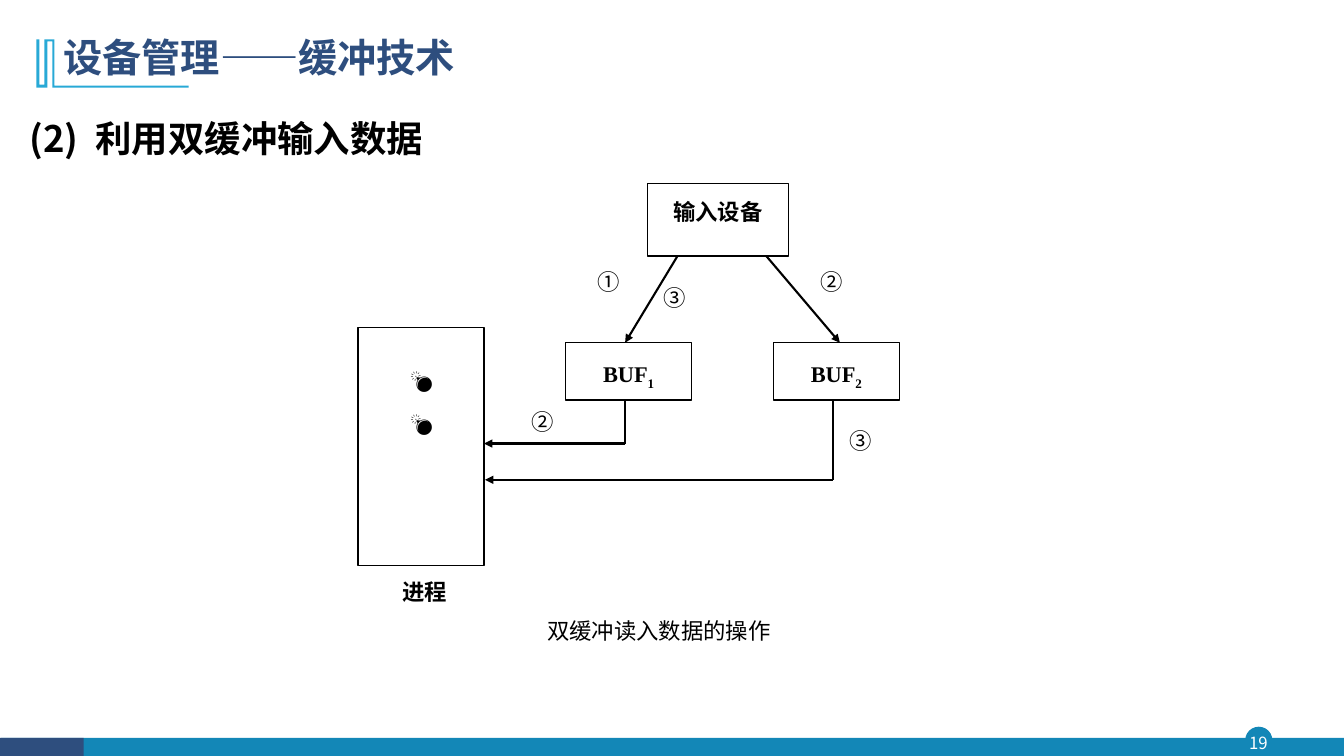
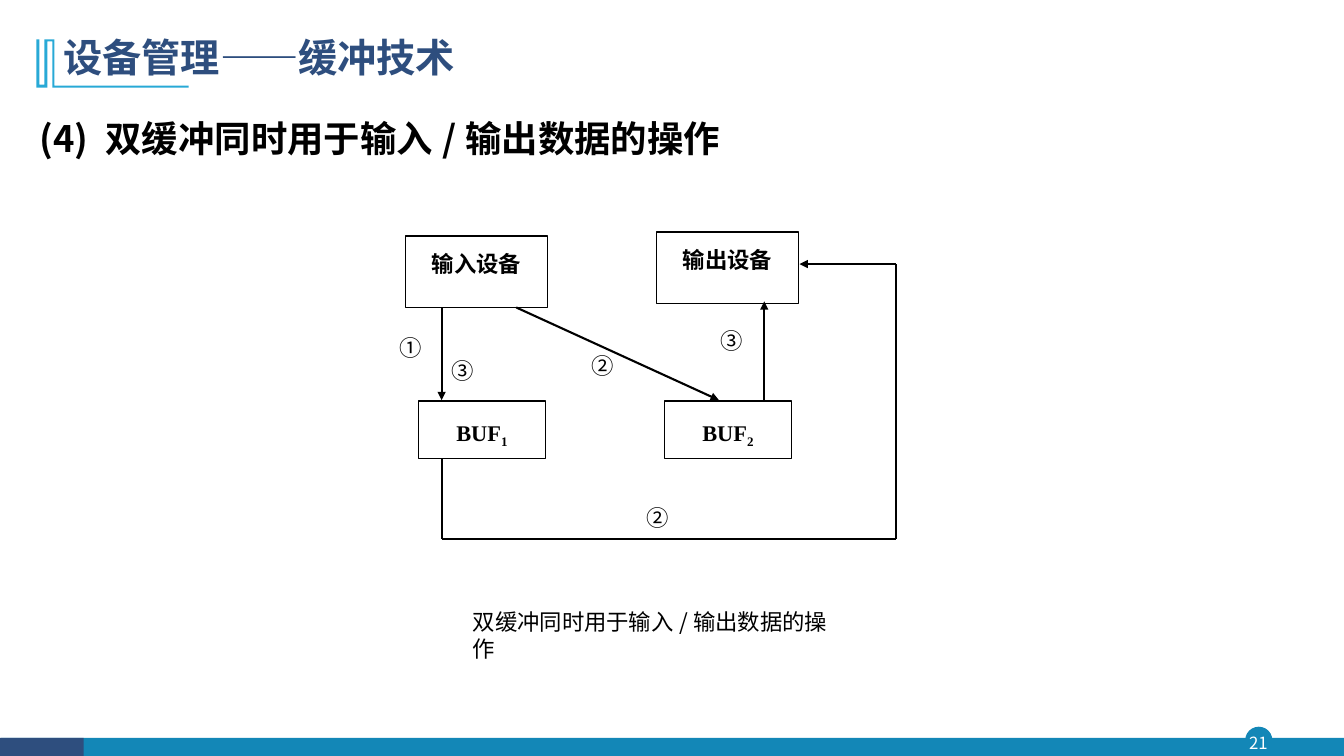
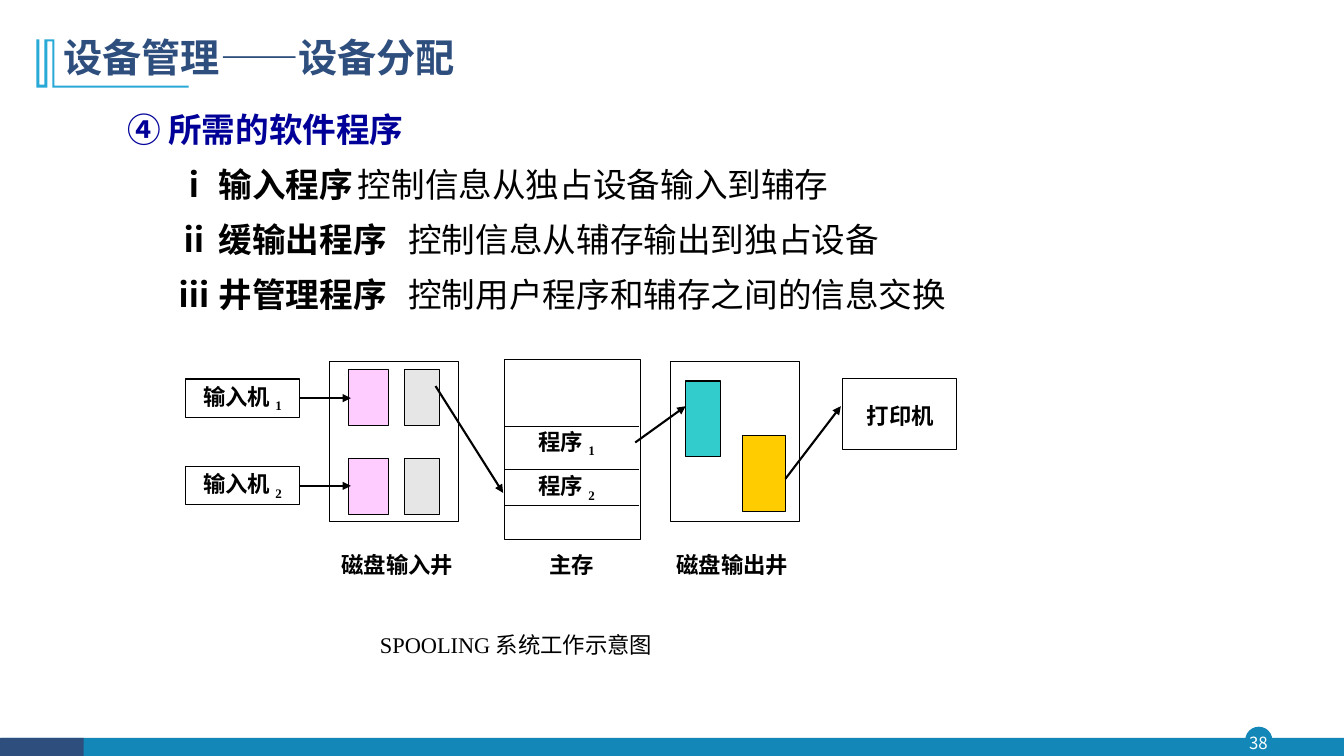
from dataclasses import dataclass
from itertools import pairwise

from lxml.etree import SubElement
from pptx import Presentation
from pptx.dml.color import RGBColor
from pptx.enum.shapes import MSO_CONNECTOR as Connector, MSO_SHAPE as Preset
from pptx.enum.text import MSO_ANCHOR as Anchor, MSO_AUTO_SIZE as AutoSize, PP_ALIGN as Align
from pptx.oxml.ns import qn
from pptx.util import Inches, Pt


@dataclass(frozen=True)
class Theme:
    navy: str = "2E4E7E"
    teal: str = "1387B7"
    sky: str = "28A9D6"
    black: str = "000000"
    white: str = "FFFFFF"
    blue: str = "000099"
    pink: str = "FFCCFF"
    grey: str = "E7E6E6"
    turquoise: str = "33CCCC"
    amber: str = "FFCC00"
    sans: str = "Noto Sans CJK SC"
    serif: str = "Times New Roman"
    title: int = 28
    heading: int = 26
    listing: int = 24
    diagram: int = 16
    number: int = 12
    arrow: float = 1.5


THEME = Theme()

TITLE_AT = (0.53, 0.34, 10.49, 0.56)
MARK = [(0.54, 0.39), (0.54, 0.85), (1.87, 0.85), (1.87, 0.87), (0.52, 0.87), (0.52, 0.41),
        (0.47, 0.41), (0.47, 0.87), (0.36, 0.87), (0.36, 0.39), (0.39, 0.39), (0.39, 0.84),
        (0.44, 0.84), (0.44, 0.39)]
BANDS = [(Preset.OVAL, (12.35, 7.21, 0.27, 0.27), THEME.teal),
         (Preset.RECTANGLE, (0.01, 7.32, 13.32, 0.18), THEME.teal),
         (Preset.RECTANGLE, (0, 7.32, 0.83, 0.18), THEME.navy)]

DEVICE_DROP, BUFFER_DROP = -0.08, 0.04

# boxes: place, name, subscript, vertical text shift
# labels: left, top, text, subscript
# routes: corner points, ending in an arrowhead
PAGES = [
    dict(
        number="19", title="设备管理——缓冲技术",
        heading="(2) 利用双缓冲输入数据", body_at=(0.19, 0.91, 7.48, 0.92),
        outline=1, bold_labels=False,
        boxes=[((6.42, 1.82, 1.4, 0.72), "输入设备", "", DEVICE_DROP),
               ((5.61, 3.4, 1.25, 0.57), "BUF", "1", BUFFER_DROP),
               ((7.67, 3.4, 1.25, 0.57), "BUF", "2", BUFFER_DROP),
               ((3.55, 3.25, 1.25, 2.36), "", "", 0)],
        plain=[((3.59, 5.58, 1.25, 0.57), "进程"),
               ((3.85, 3.48, 0.66, 0.57), "💣"),
               ((3.85, 3.91, 0.66, 0.57), "💣")],
        labels=[(5.83, 2.61, "①", ""), (8.04, 2.61, "②", ""), (8.33, 4.19, "③", ""),
                (5.17, 4, "②", ""), (6.48, 2.77, "③", "")],
        routes=[[(6.72, 2.54), (6.2, 3.4)], [(7.6, 2.54), (8.33, 3.4)],
                [(6.2, 3.97), (6.2, 4.4), (4.8, 4.4)],
                [(8.26, 3.97), (8.26, 4.76), (4.81, 4.76)]],
        caption=[("双缓冲读入数据的操作", THEME.serif)], caption_at=(5.33, 6.06, 2.76, 0.37),
    ),
    dict(
        number="21", title="设备管理——缓冲技术",
        heading="(4) 双缓冲同时用于输入/输出数据的操作", body_at=(0.29, 0.91, 9.23, 0.92),
        outline=1, bold_labels=False,
        boxes=[((4.02, 2.34, 1.41, 0.71), "输入设备", "", DEVICE_DROP),
               ((6.51, 2.3, 1.41, 0.71), "输出设备", "", DEVICE_DROP),
               ((4.15, 3.98, 1.26, 0.57), "BUF", "1", BUFFER_DROP),
               ((6.59, 3.98, 1.26, 0.57), "BUF", "2", BUFFER_DROP)],
        labels=[(3.86, 3.26, "①", ""), (5.77, 3.44, "②", ""), (4.38, 3.49, "③", ""),
                (6.31, 4.95, "②", ""), (7.05, 3.19, "③", "")],
        routes=[[(4.38, 3.05), (4.38, 3.97)], [(5.12, 3.05), (7.13, 3.97)],
                [(4.38, 4.55), (4.38, 5.35), (8.89, 5.35), (8.89, 2.62), (7.93, 2.62)],
                [(7.58, 3.98), (7.58, 2.99)]],
        caption=[("双缓冲同时用于输入", THEME.serif), ("/输出数据的操作", THEME.sans)],
        caption_at=(4.59, 5.97, 3.91, 0.37),
    ),
    dict(
        number="38", title="设备管理——设备分配",
        listing=("④ 所需的软件程序",
                 [("ⅰ ", "输入程序", "控制信息从独占设备输入到辅存"),
                  ("ⅱ ", "缓输出程序", "控制信息从辅存输出到独占设备"),
                  ("ⅲ ", "井管理程序", "控制用户程序和辅存之间的信息交换")]),
        body_at=(0.53, 0.91, 9.86, 2.26),
        outline=0.75, bold_labels=True,
        boxes=[((1.84, 3.76, 1.13, 0.38), "输入机", "1", 0),
               ((1.84, 4.63, 1.13, 0.38), "输入机", "2", 0),
               ((3.27, 3.59, 1.28, 1.58), "", "", 0),
               ((5, 3.57, 1.35, 1.78), "", "", 0),
               ((6.65, 3.59, 1.28, 1.58), "", "", 0),
               ((8.36, 3.76, 1.13, 0.7), "", "", 0)],
        blocks=[((3.46, 3.67, 0.39, 0.55), THEME.pink), ((3.46, 4.55, 0.39, 0.55), THEME.pink),
                ((4.01, 3.67, 0.35, 0.55), THEME.grey), ((4.01, 4.55, 0.35, 0.55), THEME.grey),
                ((6.8, 3.78, 0.35, 0.75), THEME.turquoise),
                ((7.36, 4.32, 0.43, 0.75), THEME.amber)],
        dividers=[[(5, y), (6.34, y)] for y in (4.23, 4.66, 5.02)],
        labels=[(5.24, 4.21, "程序", "1"), (5.24, 4.65, "程序", "2"), (8.5, 3.94, "打印机", ""),
                (3.29, 5.42, "磁盘输入井", ""), (5.35, 5.42, "主存", ""),
                (6.61, 5.42, "磁盘输出井", "")],
        routes=[[(2.97, 3.95), (3.48, 3.95)], [(2.97, 4.82), (3.48, 4.82)],
                [(4.32, 3.83), (4.99, 4.89)], [(6.3, 4.39), (6.8, 4.03)],
                [(7.79, 4.75), (8.34, 4.03)]],
        caption=[("SPOOLING系统工作示意图", THEME.serif)], caption_at=(3.67, 6.2, 3.28, 0.37),
    ),
]


def color(value):
    return RGBColor.from_string(value)


def inches(values):
    return [Inches(value) for value in values]


def place(shape, at):
    shape.left, shape.top, shape.width, shape.height = inches(at)


def add_span(para, text, size, face=THEME.serif, ink=THEME.black, bold=False, subscript=False):
    span = para.add_run()
    span.text = text
    font = span.font
    font.size, font.bold, font.name = Pt(size), bold, face
    font.color.rgb = color(ink)
    properties = span.font._element
    SubElement(properties, qn("a:ea")).set("typeface", THEME.sans)
    if subscript:
        properties.set("baseline", "-25000")


def set_frame(shape, anchor=Anchor.MIDDLE, drop=0.0):
    """Prepare a text frame; drop shifts middle-anchored text down, in inches."""
    frame = shape.text_frame
    frame.word_wrap = True
    frame.auto_size = AutoSize.NONE
    frame.vertical_anchor = anchor
    frame.margin_top = Inches(max(2 * drop, 0))
    frame.margin_bottom = Inches(max(-2 * drop, 0))
    return frame


def set_list_format(para, left=0.0, hanging=0.0, tab=None):
    """Drop the bullet and set the indents and an optional tab stop."""
    properties = para._p.get_or_add_pPr()
    properties.set("marL", str(Inches(left)))
    properties.set("indent", str(-Inches(hanging)))
    SubElement(properties, qn("a:buNone"))
    if tab:
        stop = SubElement(SubElement(properties, qn("a:tabLst")), qn("a:tab"))
        stop.set("pos", str(Inches(tab)))
        stop.set("algn", "l")
    para.alignment = Align.LEFT
    para.space_before = Pt(0)


def add_block(page, at, fill=None, outline=None, preset=Preset.RECTANGLE):
    shape = page.shapes.add_shape(preset, *inches(at))
    shape.shadow.inherit = False
    if fill:
        shape.fill.solid()
        shape.fill.fore_color.rgb = color(fill)
    else:
        shape.fill.background()
    if outline:
        shape.line.color.rgb = color(THEME.black)
        shape.line.width = Pt(outline)
    else:
        shape.line.fill.background()
    return shape


def add_name(frame, name, subscript="", bold=True, face=THEME.serif, align=Align.CENTER):
    para = frame.paragraphs[0]
    para.alignment = align
    add_span(para, name, THEME.diagram, face, bold=bold)
    if subscript:
        add_span(para, subscript, THEME.diagram, face, bold=bold, subscript=True)


def add_text_box(page, at, **frame_options):
    return set_frame(page.shapes.add_textbox(*inches(at)), **frame_options)


def add_route(page, points, width, arrow=True):
    segments = list(pairwise(points))
    for number, (start, end) in enumerate(segments, 1):
        line = page.shapes.add_connector(Connector.STRAIGHT, *inches(start + end))
        line.line.color.rgb = color(THEME.black)
        line.line.width = Pt(width)
        if arrow and number == len(segments):
            SubElement(line.line._get_or_add_ln(), qn("a:tailEnd")).set("type", "triangle")
        SubElement(line._element.spPr, qn("a:effectLst"))


def dress_master(deck, page):
    """Draw the shared bands and title mark, then move them to the master."""
    parts = [add_block(page, at, fill, preset=preset) for preset, at, fill in BANDS]
    start, *rest = [inches(point) for point in MARK]
    builder = page.shapes.build_freeform(*start)
    builder.add_line_segments(rest, close=True)
    mark = builder.convert_to_shape()
    mark.shadow.inherit = False
    mark.fill.solid()
    mark.fill.fore_color.rgb = color(THEME.sky)
    mark.line.fill.background()
    tree = deck.slide_master.shapes.element
    for index, part in enumerate(parts + [mark]):
        part.element.nvSpPr.cNvPr.set("id", str(100 + index))
        tree.insert(2 + index, part.element)


def fill_title(page, text):
    frame = set_frame(page.shapes.title, drop=-0.03)
    para = frame.paragraphs[0]
    para.alignment, para.line_spacing = Align.LEFT, 0.9
    add_span(para, text, THEME.title, THEME.sans, THEME.navy, bold=True)


def fill_heading(body, text):
    para = set_frame(body).paragraphs[0]
    set_list_format(para)
    add_span(para, text, THEME.heading, THEME.sans, bold=True)


def fill_listing(body, heading, items):
    frame = set_frame(body, Anchor.TOP)
    frame.margin_top = Inches(0.08)
    first = frame.paragraphs[0]
    set_list_format(first, 1, 0.37)
    add_span(first, heading, THEME.listing, ink=THEME.blue, bold=True)
    for numeral, name, duty in items:
        para = frame.add_paragraph()
        para.level = 1
        set_list_format(para, 1.42, 0.29, tab=3.58)
        para.space_before = Pt(4.3)
        add_span(para, numeral, THEME.listing, THEME.sans, bold=True)
        add_span(para, name, THEME.listing, bold=True)
        add_span(para, "\t" + duty, THEME.listing)
    for para in frame.paragraphs:
        para.line_spacing = Pt(35)


def draw_diagram(page, content):
    outline = content["outline"]
    for at, name, subscript, drop in content["boxes"]:
        box = add_block(page, at, outline=outline)
        if name:
            add_name(set_frame(box, drop=drop), name, subscript)
    for at, fill in content.get("blocks", []):
        add_block(page, at, fill, outline)
    for points in content.get("dividers", []):
        add_route(page, points, outline, arrow=False)
    for points in content["routes"]:
        add_route(page, points, THEME.arrow)
    for at, text in content.get("plain", []):
        add_name(add_text_box(page, at), text, face=THEME.sans)
    bold = content["bold_labels"]
    face = THEME.serif if bold else THEME.sans
    for left, top, text, subscript in content["labels"]:
        width = 1.45 if len(text) > 2 else 0.85 if bold else 0.6
        frame = add_text_box(page, (left, top, width, 0.37))
        add_name(frame, text, subscript, bold, face, Align.LEFT)


def add_caption(page, spans, at):
    frame = add_text_box(page, at, anchor=Anchor.TOP)
    frame.margin_top = Inches(0.06)
    para = frame.paragraphs[0]
    para.line_spacing = Pt(19.3)
    for text, face in spans:
        add_span(para, text, THEME.diagram, face)


def add_page_number(page, number):
    frame = add_text_box(page, (12.32, 7.21, 0.32, 0.31))
    frame.margin_left = frame.margin_right = 0
    para = frame.paragraphs[0]
    para.alignment = Align.CENTER
    add_span(para, number, THEME.number, THEME.sans, THEME.white)


def main():
    deck = Presentation()
    deck.slide_width, deck.slide_height = Inches(13.33), Inches(7.5)
    layout = deck.slide_layouts.get_by_name("Title and Content")
    place(layout.placeholders[0], TITLE_AT)
    for index, content in enumerate(PAGES):
        page = deck.slides.add_slide(layout)
        if index == 0:
            dress_master(deck, page)
        fill_title(page, content["title"])
        body = page.placeholders[1]
        place(body, content["body_at"])
        if "heading" in content:
            fill_heading(body, content["heading"])
        else:
            fill_listing(body, *content["listing"])
        draw_diagram(page, content)
        add_caption(page, content["caption"], content["caption_at"])
        add_page_number(page, content["number"])
    deck.save("out.pptx")


if __name__ == "__main__":
    main()
